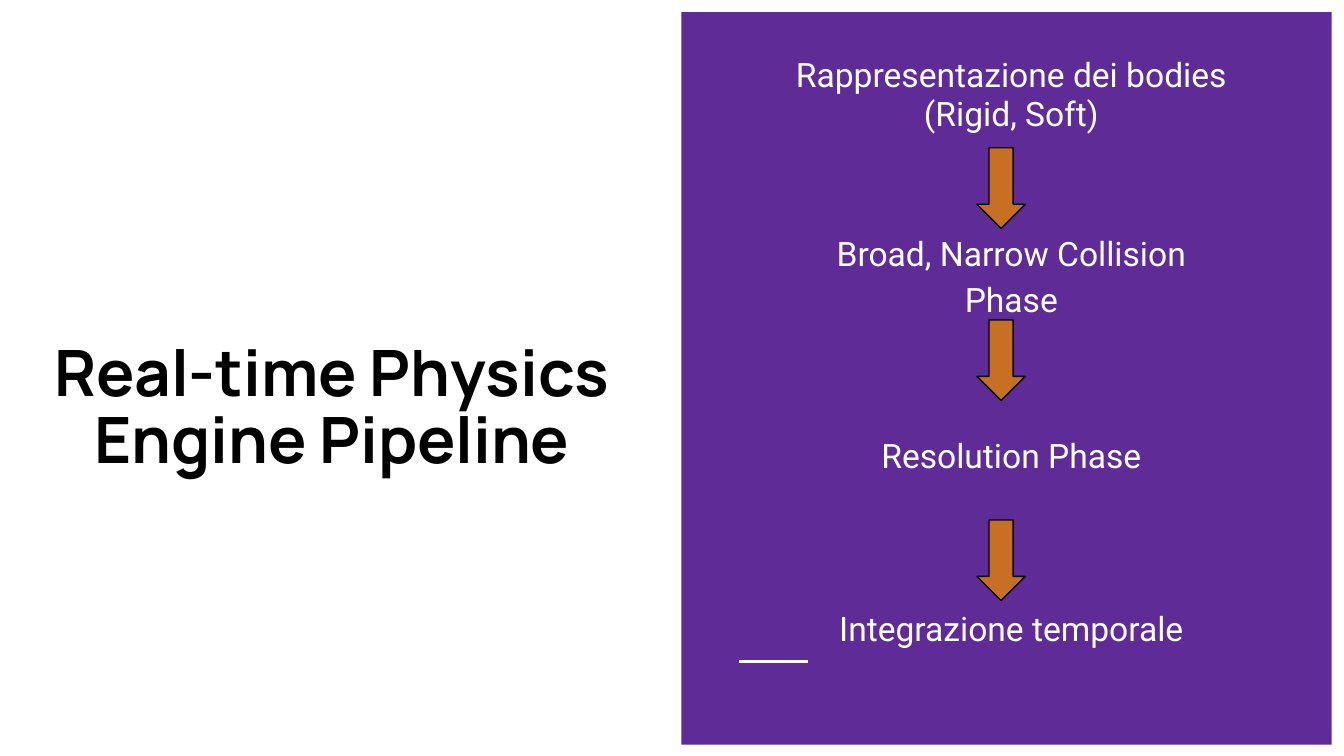
from dataclasses import dataclass

from lxml import etree
from pptx import Presentation
from pptx.dml.color import RGBColor
from pptx.enum import shapes, text
from pptx.oxml import ns
from pptx.shapes.autoshape import Shape
from pptx.slide import Slide
from pptx.util import Pt

WHITE, BLACK, PURPLE, ORANGE = "FFFFFF", "000000", "5E2B97", "C77025"
STEP_LEFT, STEP_WIDTH, STEP_HEIGHT = 414, 255.6, 56.2
ARROW_LEFT, ARROW_WIDTH, ARROW_HEIGHT = 523.4, 25.9, 43.2


@dataclass
class Label:
    wording: str
    left: float
    top: float
    width: float
    height: float
    font: str = "Roboto"
    size: float = 18
    color: str = WHITE
    bold: bool = False
    spacing: float = 1.15
    after: float = 12
    anchor: text.MSO_ANCHOR = text.MSO_ANCHOR.MIDDLE


def hex_color(value: str) -> RGBColor:
    return RGBColor.from_string(value)


def add_label(page: Slide, label: Label) -> None:
    box = page.shapes.add_textbox(
        Pt(label.left), Pt(label.top), Pt(label.width), Pt(label.height))
    frame = box.text_frame
    frame.word_wrap = True
    frame.auto_size = text.MSO_AUTO_SIZE.NONE
    frame.vertical_anchor = label.anchor
    frame.margin_left = frame.margin_right = Pt(7.2)
    frame.margin_top = frame.margin_bottom = Pt(7.2)
    para = frame.paragraphs[0]
    para.alignment = text.PP_ALIGN.CENTER
    para.line_spacing = label.spacing
    para.space_after = Pt(label.after)
    span = para.add_run()
    span.text = label.wording
    span.font.name = label.font
    span.font.size = Pt(label.size)
    span.font.bold = label.bold
    span.font.color.rgb = hex_color(label.color)


def add_filled(page: Slide, kind: shapes.MSO_SHAPE, left: float, top: float,
               width: float, height: float, fill: str) -> Shape:
    shape = page.shapes.add_shape(kind, Pt(left), Pt(top), Pt(width), Pt(height))
    shape.shadow.inherit = False
    shape.fill.solid()
    shape.fill.fore_color.rgb = hex_color(fill)
    shape.line.fill.background()
    return shape


def add_arrow(page: Slide, top: float) -> None:
    arrow = add_filled(page, shapes.MSO_SHAPE.DOWN_ARROW, ARROW_LEFT, top,
                       ARROW_WIDTH, ARROW_HEIGHT, ORANGE)
    arrow.line.color.rgb = hex_color(BLACK)
    arrow.line.width = Pt(0.75)


def add_rule(page: Slide, left: float, right: float, top: float) -> None:
    rule = page.shapes.add_connector(
        shapes.MSO_CONNECTOR.STRAIGHT, Pt(left), Pt(top), Pt(right), Pt(top))
    rule.line.color.rgb = hex_color(WHITE)
    rule.line.width = Pt(1.5)
    etree.SubElement(rule._element.spPr, ns.qn("a:effectLst"))


def step(wording: str, top: float, spacing: float = 1.15) -> Label:
    return Label(wording, STEP_LEFT, top, STEP_WIDTH, STEP_HEIGHT, spacing=spacing)


TITLE = Label("Real-time Physics Engine Pipeline", 18.7, 141.8, 318.2, 121,
              font="Manrope", size=34.2, color=BLACK, bold=True,
              spacing=0.88, after=0, anchor=text.MSO_ANCHOR.BOTTOM)
STEPS = [
    step("Rappresentazione dei bodies (Rigid, Soft)", 23, spacing=0.95),
    step("Broad, Narrow Collision Phase", 118.1),
    step("Resolution Phase", 213.8),
    step("Integrazione temporale", 306.7),
]
ARROW_TOPS = [79.2, 171.4, 278.6]


def main() -> None:
    deck = Presentation()
    deck.slide_width, deck.slide_height = Pt(720), Pt(405)
    page = deck.slides.add_slide(deck.slide_layouts[6])
    page.background.fill.solid()
    page.background.fill.fore_color.rgb = hex_color(WHITE)

    # Right panel with its short rule
    add_filled(page, shapes.MSO_SHAPE.RECTANGLE, 365, 6.5, 348.5, 392.4, PURPLE)
    add_rule(page, 396, 432.7, 354.2)

    # Title
    add_label(page, TITLE)

    # Pipeline steps and the arrows between them
    for label in STEPS:
        add_label(page, label)
    for top in ARROW_TOPS:
        add_arrow(page, top)

    deck.save("out.pptx")


if __name__ == "__main__":
    main()
